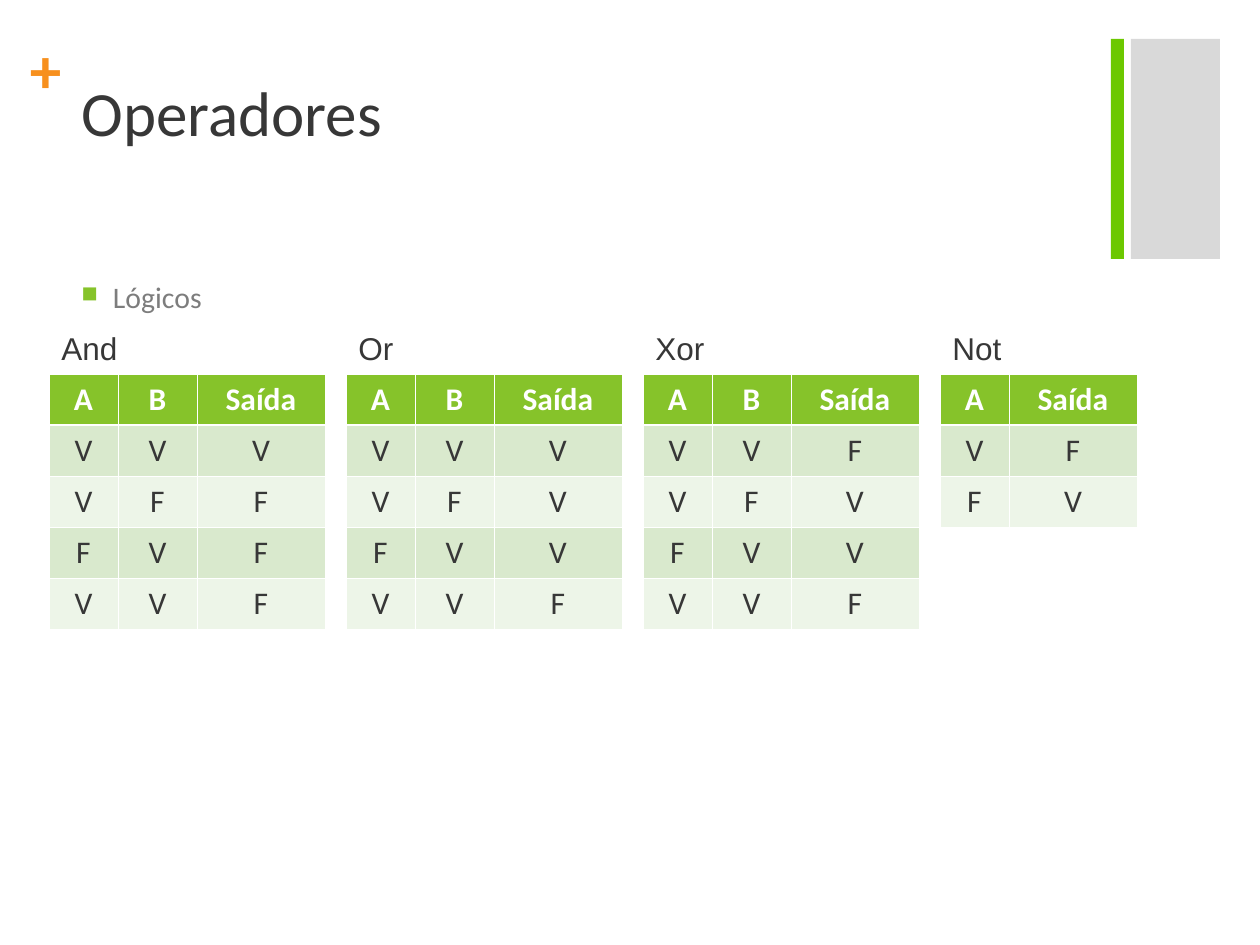
from lxml import etree
from pptx import Presentation
from pptx import util as u
from pptx.dml.color import RGBColor
from pptx.enum import shapes, text
from pptx.oxml import ns

PX = 914400 / 126
GREEN = RGBColor(0x86, 0xC3, 0x2A)
LIME = RGBColor(0x6C, 0xC8, 0x00)
GRAY = RGBColor(0xD9, 0xD9, 0xD9)
ORANGE = RGBColor(0xF7, 0x90, 0x1E)
DARK = RGBColor(0x37, 0x37, 0x37)
MUTED = RGBColor(0x7D, 0x7D, 0x7D)
WHITE = RGBColor(0xFF, 0xFF, 0xFF)
BANDS = [RGBColor(0xD9, 0xE9, 0xCD), RGBColor(0xED, 0xF5, 0xE8)]

WIDTHS = {"A": 69, "B": 79, "Saída": 128}
ROW = 51
LEFT, STEP = 49, 297
PAIRS = ["VV", "VF", "FV", "VV"]
TABLES = [
    ("And", 81, ["A", "B", "Saída"], PAIRS, "VFFF"),
    ("Or", 61, ["A", "B", "Saída"], PAIRS, "VVVF"),
    ("Xor", 75, ["A", "B", "Saída"], PAIRS, "FVVF"),
    ("Not", 75, ["A", "Saída"], ["V", "F"], "FV"),
]


def place(*box):
    return [u.Emu(round(n * PX)) for n in box]


def style(frame, words, size, color, name="Calibri", bold=False):
    frame.text = words
    font = frame.paragraphs[0].runs[0].font
    font.size, font.name, font.bold = u.Pt(size), name, bold
    font.color.rgb = color


prs = Presentation()
prs.slide_width, prs.slide_height = place(1260, 945)
slide = prs.slides.add_slide(prs.slide_layouts[5])

for box, color in [((1131, 39, 89, 220), GRAY), ((1111, 39, 13, 220), LIME)]:
    bar = slide.shapes.add_shape(shapes.MSO_SHAPE.RECTANGLE, *place(*box))
    bar.shadow.inherit = False
    bar.fill.solid()
    bar.fill.fore_color.rgb = color
    bar.line.fill.background()

plus = slide.shapes.add_textbox(*place(30, 31, 35, 76)).text_frame
plus.margin_left = plus.margin_top = plus.margin_right = plus.margin_bottom = 0
plus.word_wrap = True
style(plus, "+", 36, ORANGE, bold=True)

title = slide.shapes.title
title.left, title.top, title.width, title.height = place(69, 67, 1041, 154)
style(title.text_frame, "Operadores", 36, DARK)
title.text_frame.vertical_anchor = text.MSO_ANCHOR.TOP
title.text_frame.auto_size = text.MSO_AUTO_SIZE.NONE
title.text_frame.paragraphs[0].alignment = text.PP_ALIGN.LEFT

topic = slide.shapes.add_textbox(*place(69, 273, 1041, 50)).text_frame
topic.word_wrap = True
style(topic, "Lógicos", 17, MUTED)
props = topic.paragraphs[0]._p.get_or_add_pPr()
props.set("marL", "228600")
props.set("indent", "-228600")
tint = etree.SubElement(props, ns.qn("a:buClr"))
etree.SubElement(tint, ns.qn("a:srgbClr"), val=str(GREEN))
etree.SubElement(props, ns.qn("a:buSzPct"), val="75000")
etree.SubElement(props, ns.qn("a:buChar"), char="■")

for i, (name, width, heads, inputs, outs) in enumerate(TABLES):
    left = LEFT + i * STEP
    label = slide.shapes.add_textbox(*place(left, 323, width, 50)).text_frame
    label.word_wrap = False
    style(label, name, 18, DARK, "Arial")

    rows = [heads] + [[*pair, out] for pair, out in zip(inputs, outs)]
    total = sum(WIDTHS[head] for head in heads)
    box = place(left, 374, total, ROW * len(rows))
    table = slide.shapes.add_table(len(rows), len(heads), *box).table
    for col, head in zip(table.columns, heads):
        col.width = place(WIDTHS[head])[0]
    for r, row in enumerate(rows):
        table.rows[r].height = place(ROW)[0]
        for c, word in enumerate(row):
            cell = table.cell(r, c)
            style(cell.text_frame, word, 18, DARK if r else WHITE, bold=r == 0)
            cell.text_frame.paragraphs[0].alignment = text.PP_ALIGN.CENTER
            edges = cell._tc.get_or_add_tcPr()
            for side in ("lnL", "lnR", "lnT", "lnB"):
                thick = (r, side) in [(0, "lnB"), (1, "lnT")]
                size = u.Pt(1.47 if thick else 0.45)
                line = etree.SubElement(edges, ns.qn("a:" + side), w=str(size))
                fill = etree.SubElement(line, ns.qn("a:solidFill"))
                etree.SubElement(fill, ns.qn("a:srgbClr"), val=str(WHITE))
            cell.fill.solid()
            cell.fill.fore_color.rgb = BANDS[(r - 1) % 2] if r else GREEN

prs.save("out.pptx")
